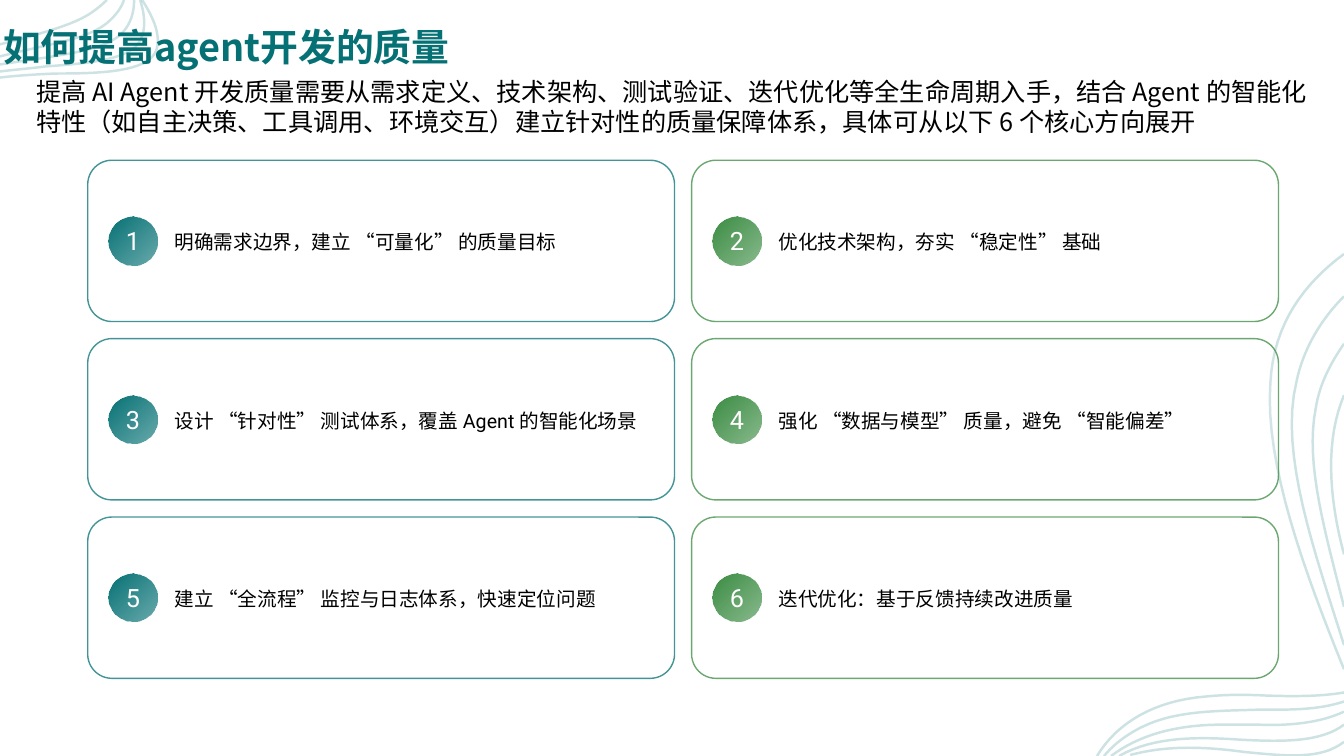
import pptx
import pptx.util
import pptx.dml.color
import pptx.enum.shapes
import pptx.enum.text
import pptx.oxml
import pptx.oxml.ns

Inches, Pt = pptx.util.Inches, pptx.util.Pt
SHAPE = pptx.enum.shapes.MSO_SHAPE
ANCHOR = pptx.enum.text.MSO_ANCHOR
ALIGN = pptx.enum.text.PP_ALIGN
CJK = "Noto Sans CJK SC"
TEAL, GREEN, WHITE, BLACK = "057174", "3A8C42", "FFFFFF", "000000"


def paint(color_format, hex_color, opacity=100):
    color_format.rgb = pptx.dml.color.RGBColor.from_string(hex_color)
    if opacity < 100:
        for node in color_format._xFill.iter(pptx.oxml.ns.qn("a:srgbClr")):
            alpha = node.makeelement(pptx.oxml.ns.qn("a:alpha"), {"val": str(opacity * 1000)})
            node.append(alpha)


def write(shape, text, size, font, hex_color, margins, anchor, wrap=True, bold=False):
    frame = shape.text_frame
    frame.word_wrap = wrap
    frame.vertical_anchor = anchor
    (frame.margin_left, frame.margin_top,
     frame.margin_right, frame.margin_bottom) = [Inches(m) for m in margins]
    paragraph = frame.paragraphs[0]
    paragraph.alignment = ALIGN.LEFT
    run = paragraph.add_run()
    run.text = text
    run.font.size = Pt(size)
    run.font.name = font
    run.font.bold = bold
    paint(run.font.color, hex_color)
    east_asian = pptx.oxml.parse_xml(
        f'<a:ea {pptx.oxml.ns.nsdecls("a")} typeface="{CJK}"/>')
    run.font._element.find(pptx.oxml.ns.qn("a:latin")).addnext(east_asian)
    return paragraph


deck = pptx.Presentation()
deck.slide_width, deck.slide_height = Inches(13.33), Inches(7.5)
slide = deck.slides.add_slide(deck.slide_layouts[6])
shapes = slide.shapes

# Background waves: a start point, then three points per cubic curve
corner_waves = [
    [(0, .44), (.08, .42), (.16, .4), (.24, .38), (.47, .31), (.7, .25), (.87, .15),
     (.95, .1), (1.01, .05), (1.06, 0)],
    [(0, .77), (.16, .75), (.34, .74), (.54, .73), (.97, .73), (1.47, .72), (1.55, .5),
     (1.6, .35), (1.52, .17), (1.41, 0)],
    [(0, .71), (.15, .69), (.3, .68), (.45, .66), (.85, .63), (1.2, .6), (1.35, .46),
     (1.46, .33), (1.44, .16), (1.39, 0)],
    [(0, .64), (.13, .62), (.26, .6), (.4, .58), (.72, .53), (1.05, .48), (1.2, .34),
     (1.3, .24), (1.33, .12), (1.33, 0)],
    [(0, .56), (.12, .53), (.25, .5), (.38, .47), (.64, .41), (.9, .36), (1.06, .23),
     (1.14, .16), (1.2, .09), (1.23, 0)],
]
edge_waves = [
    # right edge
    [(13.33, 3.92), (13.15, 4.35), (13.17, 4.9), (13.33, 5.5)],
    [(13.33, 3.41), (13.2, 3.6), (13.09, 3.8), (13.05, 4.05), (12.94, 4.6), (13.15, 5.3),
     (13.33, 6.02)],
    [(13.33, 2.94), (13.11, 3.16), (12.93, 3.45), (12.86, 3.78), (12.68, 4.5), (13.05, 5.5),
     (13.33, 6.4)],
    [(13.33, 2.52), (12.95, 2.8), (12.63, 3.2), (12.6, 3.8), (12.54, 4.6), (12.95, 5.7),
     (13.33, 6.64)],
    # bottom right
    [(13.33, 6.87), (13.1, 6.91), (12.83, 6.91), (12.55, 6.9), (12.35, 6.89), (12.15, 6.89),
     (11.96, 6.91), (11.45, 6.95), (11.08, 7.17), (10.88, 7.5)],
    [(13.33, 6.96), (13.05, 7.05), (12.78, 7.04), (12.49, 7.04), (12.2, 7.05), (11.92, 7.05),
     (11.67, 7.1), (11.35, 7.16), (11.1, 7.32), (10.95, 7.5)],
    [(13.33, 7.06), (13.1, 7.17), (12.8, 7.2), (12.5, 7.19), (12.35, 7.19), (12.2, 7.19),
     (12.05, 7.19), (11.65, 7.2), (11.3, 7.29), (11.02, 7.5)],
    [(13.33, 7.19), (13.1, 7.36), (12.75, 7.36), (12.33, 7.34), (11.9, 7.31), (11.45, 7.3),
     (11.1, 7.5)],
    [(13.33, 7.36), (13.1, 7.54), (12.75, 7.5), (12.34, 7.46), (11.9, 7.4), (11.55, 7.4),
     (11.21, 7.49)],
]
STEPS = 16
for waves in (corner_waves, edge_waves):
    builder = shapes.build_freeform(*[Inches(v) for v in waves[0][0]])
    for wave in waves:
        if wave is not waves[0]:
            builder.move_to(*[Inches(v) for v in wave[0]])
        curve = []
        for first in range(0, len(wave) - 1, 3):
            for step in range(1, STEPS + 1):
                t = step / STEPS
                weights = ((1 - t) ** 3, 3 * t * (1 - t) ** 2, 3 * t * t * (1 - t), t ** 3)
                curve.append([Inches(sum(w * p[axis] for w, p in
                                         zip(weights, wave[first:first + 4])))
                              for axis in (0, 1)])
        builder.add_line_segments(curve, close=False)
    ribbons = builder.convert_to_shape()
    ribbons.shadow.inherit = False
    ribbons.fill.background()
    ribbons.line.width = Pt(1.75)
    ribbons.line.fill.solid()
    paint(ribbons.line.fill.fore_color, TEAL, 20)

# Title and introduction
title = shapes.add_textbox(Inches(.03), Inches(-.1), Inches(11.81), Inches(.79))
write(title, "如何提高agent开发的质量", 27, CJK, TEAL, (0, 0, 0, 0), ANCHOR.BOTTOM, bold=True)
intro = shapes.add_textbox(Inches(.26), Inches(.71), Inches(12.81), Inches(.71))
write(intro, "提高 AI Agent 开发质量需要从需求定义、技术架构、测试验证、迭代优化等全生命周期入手，"
      "结合 Agent 的智能化特性（如自主决策、工具调用、环境交互）建立针对性的质量保障体系，"
      "具体可从以下 6 个核心方向展开", 18, CJK, BLACK, (.1, .05, .1, .05), ANCHOR.TOP)

# Six directions in two columns, each a card with a numbered badge
directions = [
    "明确需求边界，建立 “可量化” 的质量目标",
    "优化技术架构，夯实 “稳定性” 基础",
    "设计 “针对性” 测试体系，覆盖 Agent 的智能化场景",
    "强化 “数据与模型” 质量，避免 “智能偏差”",
    "建立 “全流程” 监控与日志体系，快速定位问题",
    "迭代优化：基于反馈持续改进质量",
]
for index, direction in enumerate(directions):
    row, column = divmod(index, 2)
    left, top = .87 + 5.99 * column, 1.59 + 1.77 * row
    accent = (TEAL, GREEN)[column]

    card = shapes.add_shape(SHAPE.ROUNDED_RECTANGLE, Inches(left), Inches(top),
                            Inches(5.82), Inches(1.6))
    card.adjustments[0] = .15
    card.shadow.inherit = False
    card.fill.solid()
    paint(card.fill.fore_color, WHITE, 10)
    card.line.width = Pt(1)
    card.line.fill.solid()
    paint(card.line.fill.fore_color, accent, 75)
    write(card, direction, 14, "Roboto", BLACK, (.79, 0, .2, .05),
          ANCHOR.MIDDLE).line_spacing = 1.3

    badge = shapes.add_shape(SHAPE.OVAL, Inches(left + .21), Inches(top + .56),
                             Inches(.48), Inches(.48))
    badge.shadow.inherit = False
    badge.line.fill.background()
    badge.fill.gradient()
    badge.fill.gradient_angle = 315
    for stop, opacity, position in zip(badge.fill.gradient_stops, (100, 59), (0, 1)):
        stop.position = position
        paint(stop.color, accent, opacity)
    write(badge, str(index + 1), 18, "Roboto", WHITE, (.1, .05, .1, .05),
          ANCHOR.MIDDLE, wrap=False).alignment = ALIGN.CENTER

deck.save("out.pptx")
